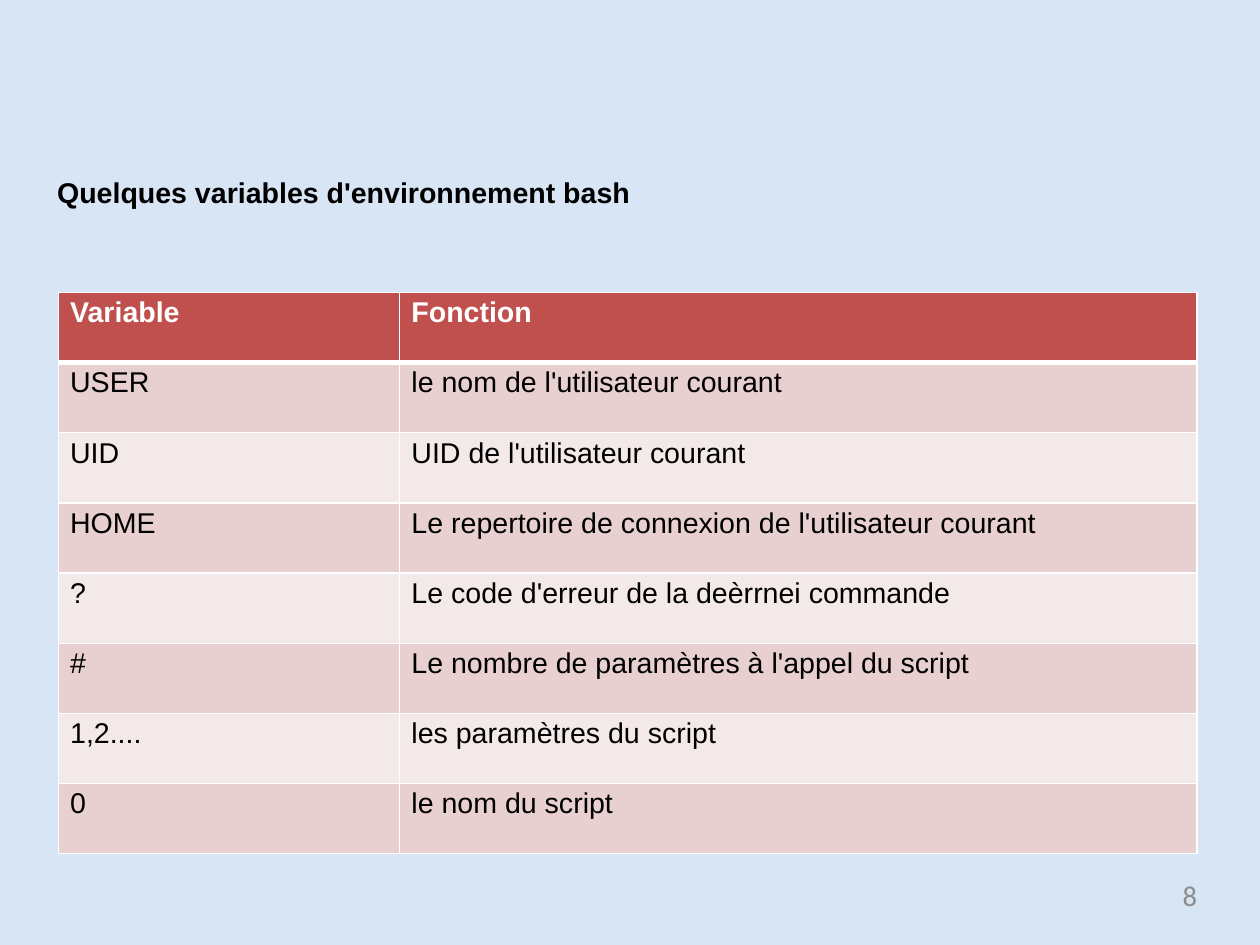
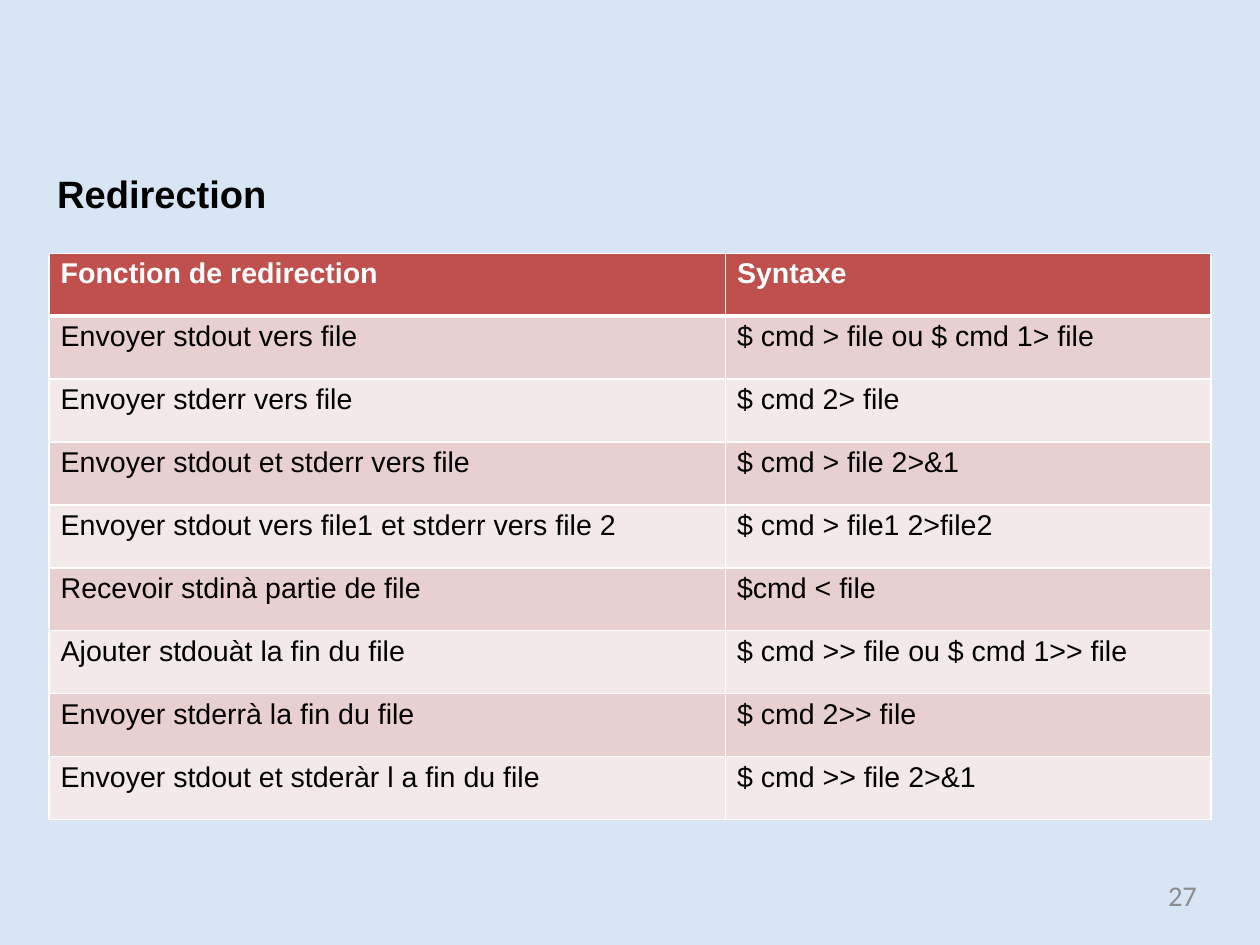
"""Builds two slides of shell reference tables with a shared look."""
import pptx
import pptx.dml.color
import pptx.enum.text
import pptx.oxml
import pptx.oxml.ns
import pptx.util

Cm = pptx.util.Cm
Pt = pptx.util.Pt

COLORS = {
    "background": "D8E5F4",
    "header": "C0504D",
    "band_dark": "E8D0D0",
    "band_light": "F4E9E9",
    "border": "FFFFFF",
    "header_text": "FFFFFF",
    "text": "000000",
    "number": "8C8C8C",
}
THIN, THICK = 1, 3

SLIDES = [
    {
        "title": "Quelques variables d'environnement bash",
        "title_size": 18,
        "title_box": (1.24, 3.86, 12.8, 0.84),
        "table_at": (1.3, 6.5),
        "columns": (7.59, 17.73),
        "row_height": 1.56,
        "rows": [
            ("Variable", "Fonction"),
            ("USER", "le nom de l'utilisateur courant"),
            ("UID", "UID de l'utilisateur courant"),
            ("HOME", "Le repertoire de connexion de l'utilisateur courant"),
            ("?", "Le code d'erreur de la deèrrnei commande"),
            ("#", "Le nombre de paramètres à l'appel du script"),
            ("1,2....", "les paramètres du script"),
            ("0", "le nom du script"),
        ],
        "number": "8",
    },
    {
        "title": "Redirection",
        "title_size": 24,
        "title_box": (1.24, 3.76, 7.7, 1.07),
        "table_at": (1.09, 5.63),
        "columns": (15.04, 10.8),
        "row_height": 1.4,
        "rows": [
            ("Fonction de redirection", "Syntaxe"),
            ("Envoyer stdout vers file", "$ cmd > file ou $ cmd 1> file"),
            ("Envoyer stderr vers file", "$ cmd 2> file"),
            ("Envoyer stdout et stderr vers file", "$ cmd > file 2>&1"),
            ("Envoyer stdout vers file1 et stderr vers file 2", "$ cmd > file1 2>file2"),
            ("Recevoir stdinà partie de file", "$cmd < file"),
            ("Ajouter stdouàt la fin du file", "$ cmd >> file ou $ cmd 1>> file"),
            ("Envoyer stderrà la fin du file", "$ cmd 2>> file"),
            ("Envoyer stdout et stderàr l a fin du file", "$ cmd >> file 2>&1"),
        ],
        "number": "27",
    },
]


def rgb(name):
    return pptx.dml.color.RGBColor.from_string(COLORS[name])


def write(tf, text, size, color, bold=False, font="Arial", align="LEFT", before=0):
    p = tf.paragraphs[0]
    p.alignment = getattr(pptx.enum.text.PP_ALIGN, align)
    p.space_before = Pt(before)
    r = p.add_run()
    r.text = text
    r.font.name = font
    r.font.size = Pt(size)
    r.font.bold = bold
    r.font.color.rgb = rgb(color)


def set_frame(tf, top=0):
    tf.margin_left = tf.margin_right = tf.margin_bottom = 0
    tf.margin_top = Cm(top)
    tf.word_wrap = True
    tf.auto_size = pptx.enum.text.MSO_AUTO_SIZE.NONE
    tf.vertical_anchor = pptx.enum.text.MSO_ANCHOR.TOP


def set_borders(cell, top, bottom):
    tc_pr = cell._tc.get_or_add_tcPr()
    sides = (("L", THIN), ("R", THIN), ("T", top), ("B", bottom))
    for i, (side, width) in enumerate(sides):
        tc_pr.insert(i, pptx.oxml.parse_xml(
            f'<a:ln{side} {pptx.oxml.ns.nsdecls("a")} w="{Pt(width)}"><a:solidFill>'
            f'<a:srgbClr val="{COLORS["border"]}"/></a:solidFill></a:ln{side}>'))


def add_title(s, data):
    sp = s.shapes.title
    sp.left, sp.top, sp.width, sp.height = map(Cm, data["title_box"])
    set_frame(sp.text_frame, top=0.03)
    sp.text_frame.margin_left = Cm(0.03)
    write(sp.text_frame, data["title"], data["title_size"], "text", bold=True, before=1)


def add_grid(s, data):
    rows, columns, height = data["rows"], data["columns"], data["row_height"]
    left, top = data["table_at"]
    table = s.shapes.add_table(
        len(rows), len(columns), Cm(left), Cm(top),
        Cm(sum(columns)), Cm(height * len(rows))).table
    table.horz_banding = False
    for column, width in zip(table.columns, columns):
        column.width = Cm(width)
    for i, texts in enumerate(rows):
        table.rows[i].height = Cm(height)
        header = i == 0
        fill = "header" if header else ("band_light", "band_dark")[i % 2]
        for j, text in enumerate(texts):
            cell = table.cell(i, j)
            cell.margin_left, cell.margin_top = Cm(0.26), Cm(0.1)
            cell.margin_right = cell.margin_bottom = 0
            cell.fill.solid()
            cell.fill.fore_color.rgb = rgb(fill)
            set_borders(cell, THICK if i == 1 else THIN, THICK if header else THIN)
            write(cell.text_frame, text, 18, "header_text" if header else "text",
                  bold=header, before=3.1)


def add_number(s, number):
    sp = s.shapes.add_textbox(Cm(20.17), Cm(19.53), Cm(6.45), Cm(1.04))
    set_frame(sp.text_frame)
    write(sp.text_frame, number, 18, "number", font="Calibri", align="RIGHT")


def main():
    prs = pptx.Presentation()
    prs.slide_width, prs.slide_height = Cm(28.02), Cm(21.01)
    fill = prs.slide_master.background.fill
    fill.solid()
    fill.fore_color.rgb = rgb("background")
    for data in SLIDES:
        s = prs.slides.add_slide(prs.slide_layouts.get_by_name("Title Only"))
        add_title(s, data)
        add_grid(s, data)
        add_number(s, data["number"])
    prs.save("out.pptx")


if __name__ == "__main__":
    main()
